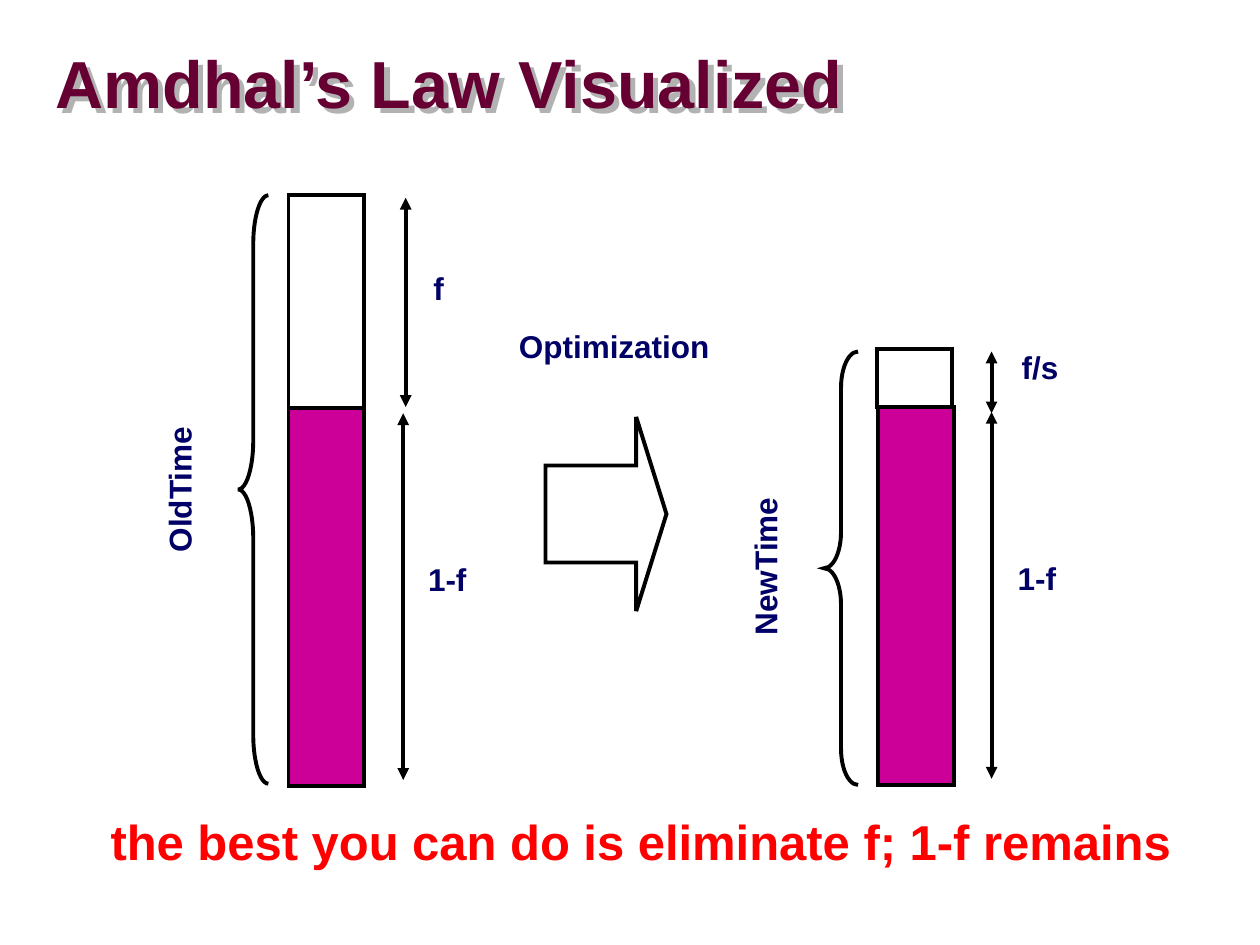
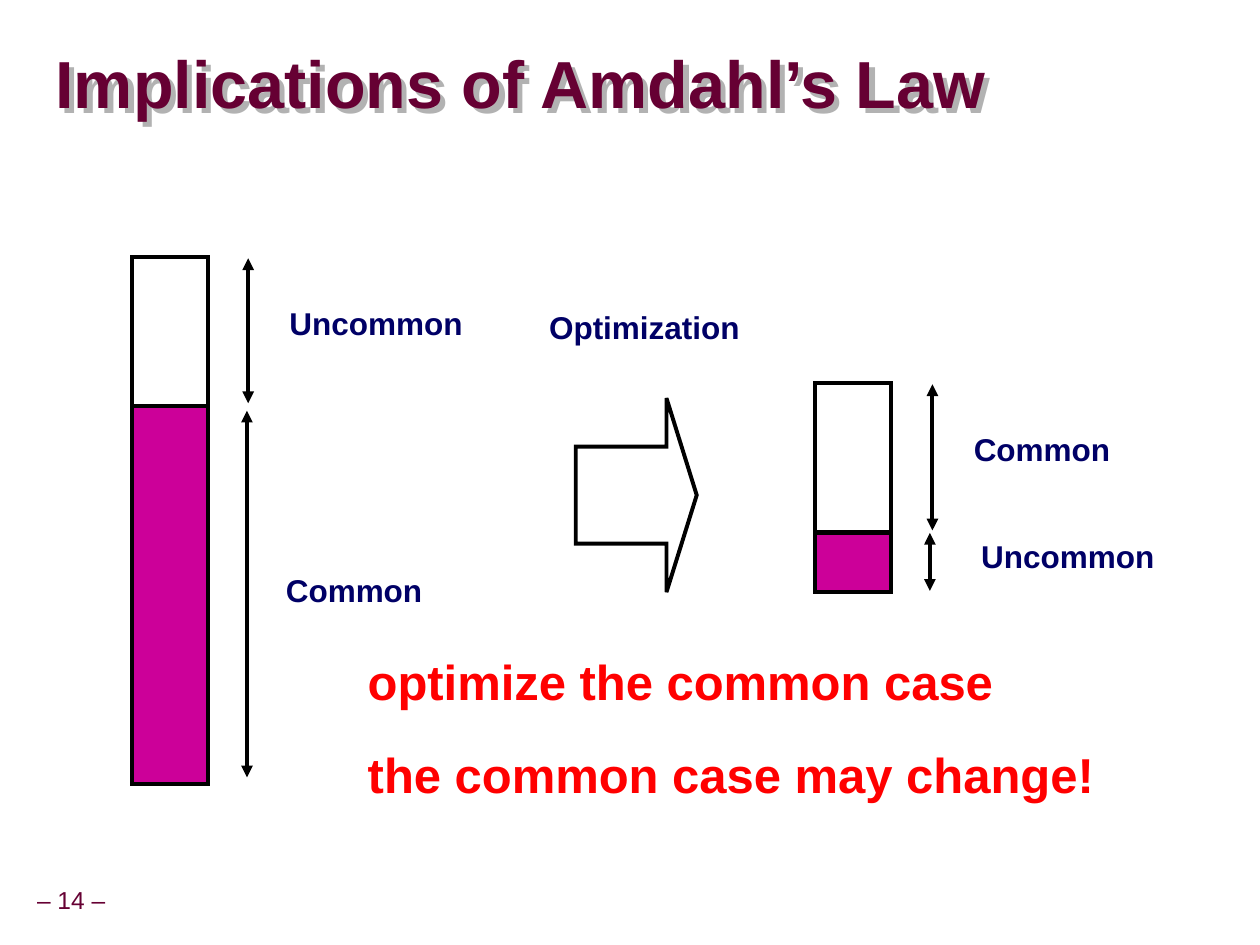
from dataclasses import dataclass

from lxml.etree import SubElement
from pptx import Presentation
from pptx.dml.color import RGBColor
from pptx.enum.shapes import MSO_CONNECTOR, MSO_SHAPE
from pptx.enum.text import MSO_ANCHOR, MSO_AUTO_SIZE, PP_ALIGN
from pptx.oxml.ns import qn
from pptx.util import Inches, Pt

FONT = "Arial"
MAROON, NAVY, RED = "660033", "000066", "FF0000"
BLACK, MAGENTA, SHADOW = "000000", "CC0099", "B2B2B2"
LINE_WIDTH = Pt(2.25)
BAR_WIDTH = 0.6


@dataclass(frozen=True)
class TextStyle:
    size: float
    color: str
    height: float
    bold: bool = True
    align: PP_ALIGN = PP_ALIGN.CENTER
    anchor: MSO_ANCHOR = MSO_ANCHOR.MIDDLE
    spacing: float = 0.9
    inset_x: float = 0.05
    inset_y: float = 0.05
    wrap: bool = False


TITLE = TextStyle(38, MAROON, 0.85, align=PP_ALIGN.LEFT, spacing=0.87,
                  inset_x=0, inset_y=0, wrap=True)
LABEL = TextStyle(18, NAVY, 0.37, anchor=MSO_ANCHOR.TOP)
MESSAGE = TextStyle(28, RED, 0.52)
FOOTER = TextStyle(14, MAROON, 0.31, bold=False)


@dataclass(frozen=True)
class Label:
    text: str
    left: float
    top: float
    width: float
    style: TextStyle = LABEL
    rotation: float = 0


@dataclass(frozen=True)
class Segment:
    """One part of a time bar with its measuring arrow and label."""
    left: float
    top: float
    height: float
    fill: str | None
    arrow_x: float
    arrow_start: float
    arrow_end: float
    label: Label


@dataclass(frozen=True)
class Brace:
    left: float
    top: float
    width: float
    height: float
    label: Label


@dataclass(frozen=True)
class Page:
    title: str
    segments: tuple[Segment, ...]
    optimization_left: float
    optimization_top: float
    messages: tuple[Label, ...]
    braces: tuple[Brace, ...] = ()
    footer: str = ""


PAGES = (
    Page(
        "Amdhal’s Law Visualized",
        (
            Segment(2.29, 1.55, 1.69, None, 3.22, 1.57, 3.23, Label("f", 3.34, 2.12, 0.28)),
            Segment(2.29, 3.24, 3, MAGENTA, 3.2, 3.28, 6.19, Label("1-f", 3.3, 4.43, 0.5)),
            Segment(6.96, 2.77, 0.46, None, 7.87, 2.79, 3.28, Label("f/s", 8.01, 2.75, 0.49)),
            Segment(6.97, 3.23, 3, MAGENTA, 7.87, 3.27, 6.18, Label("1-f", 7.98, 4.42, 0.5)),
        ),
        4.02, 2.58,
        (Label("the best you can do is eliminate f; 1-f remains", 0.78, 6.44, 8.61, MESSAGE),),
        braces=(
            Brace(1.89, 1.55, 0.24, 4.67, Label("OldTime", 0.84, 3.7, 1.2, rotation=270)),
            Brace(6.54, 2.79, 0.27, 3.44, Label("NewTime", 5.44, 4.31, 1.3, rotation=270)),
        ),
    ),
    Page(
        "Implications of Amdahl’s Law",
        (
            Segment(1.05, 2.04, 1.18, None, 1.97, 2.05, 3.2, Label("Uncommon", 2.2, 2.4, 1.57)),
            Segment(1.05, 3.22, 3, MAGENTA, 1.96, 3.26, 6.17, Label("Common", 2.17, 4.52, 1.28)),
            Segment(6.47, 3.04, 1.18, None, 7.4, 3.05, 4.21, Label("Common", 7.63, 3.4, 1.28)),
            Segment(6.47, 4.23, 0.47, MAGENTA, 7.38, 4.23, 4.69,
                    Label("Uncommon", 7.69, 4.25, 1.57)),
        ),
        4.26, 2.43,
        (
            Label("optimize the common case", 2.82, 5.17, 5.16, MESSAGE),
            Label("the common case may change!", 2.82, 5.91, 5.96, MESSAGE),
        ),
        footer="– 14 –",
    ),
)


def rgb(color: str) -> RGBColor:
    return RGBColor.from_string(color)


def apply(target, values: dict) -> None:
    for name, value in values.items():
        setattr(target, name, value)


def add_label(slide, label: Label):
    style = label.style
    box = slide.shapes.add_textbox(Inches(label.left), Inches(label.top),
                                   Inches(label.width), Inches(style.height))
    box.rotation = label.rotation
    frame = box.text_frame
    apply(frame, {
        "word_wrap": style.wrap,
        "auto_size": MSO_AUTO_SIZE.NONE if style.wrap else MSO_AUTO_SIZE.SHAPE_TO_FIT_TEXT,
        "vertical_anchor": style.anchor,
        "margin_left": Inches(style.inset_x), "margin_right": Inches(style.inset_x),
        "margin_top": Inches(style.inset_y), "margin_bottom": Inches(style.inset_y),
    })
    para = frame.paragraphs[0]
    apply(para, {"alignment": style.align, "line_spacing": style.spacing})
    span = para.add_run()
    span.text = label.text
    apply(span.font, {"name": FONT, "size": Pt(style.size), "bold": style.bold})
    span.font.color.rgb = rgb(style.color)
    return box


def add_title(slide, text: str) -> None:
    box = add_label(slide, Label(text, 0.44, 0.27, 9.53, TITLE))
    # The unfilled box casts the shadow of its letters
    effects = SubElement(box._element.spPr, qn("a:effectLst"))
    shadow = SubElement(effects, qn("a:outerShdw"), dist=str(Inches(0.06)),
                        dir="2700000", algn="ctr", rotWithShape="0")
    SubElement(shadow, qn("a:srgbClr"), val=SHADOW)


def add_outline(slide, kind: MSO_SHAPE, left: float, top: float,
                width: float, height: float, fill: str | None = None):
    shape = slide.shapes.add_shape(kind, Inches(left), Inches(top),
                                   Inches(width), Inches(height))
    shape.shadow.inherit = False
    if fill:
        shape.fill.solid()
        shape.fill.fore_color.rgb = rgb(fill)
    else:
        shape.fill.background()
    shape.line.color.rgb = rgb(BLACK)
    shape.line.width = LINE_WIDTH
    # Sharp corners
    SubElement(shape.line._get_or_add_ln(), qn("a:miter"), lim="800000")
    return shape


def add_measure(slide, x: float, start: float, end: float) -> None:
    arrow = slide.shapes.add_connector(MSO_CONNECTOR.STRAIGHT, Inches(x), Inches(start),
                                       Inches(x), Inches(end))
    arrow.line.color.rgb = rgb(BLACK)
    arrow.line.width = LINE_WIDTH
    for end_tag in ("a:headEnd", "a:tailEnd"):
        SubElement(arrow.line._get_or_add_ln(), qn(end_tag), type="triangle")
    SubElement(arrow._element.spPr, qn("a:effectLst"))


def add_segment(slide, segment: Segment) -> None:
    add_outline(slide, MSO_SHAPE.RECTANGLE, segment.left, segment.top,
                BAR_WIDTH, segment.height, segment.fill)
    add_measure(slide, segment.arrow_x, segment.arrow_start, segment.arrow_end)
    add_label(slide, segment.label)


def add_brace(slide, brace: Brace) -> None:
    shape = add_outline(slide, MSO_SHAPE.LEFT_BRACE, brace.left, brace.top,
                        brace.width, brace.height)
    # Each curve takes a twelfth of the height
    shape.adjustments[0] = brace.height / 12 / brace.width
    add_label(slide, brace.label)


def add_optimization(slide, left: float, top: float) -> None:
    arrow = add_outline(slide, MSO_SHAPE.RIGHT_ARROW, left + 0.31, top + 0.73, 0.96, 1.54)
    arrow.adjustments[0] = 0.5
    arrow.adjustments[1] = 0.25
    add_label(slide, Label("Optimization", left, top, 1.71))


def add_page(deck, page: Page) -> None:
    slide = deck.slides.add_slide(deck.slide_layouts[6])
    add_title(slide, page.title)
    for segment in page.segments:
        add_segment(slide, segment)
    for brace in page.braces:
        add_brace(slide, brace)
    add_optimization(slide, page.optimization_left, page.optimization_top)
    for message in page.messages:
        add_label(slide, message)
    if page.footer:
        add_label(slide, Label(page.footer, -0.09, 7, 1.31, FOOTER))


def main() -> None:
    deck = Presentation()
    deck.slide_width, deck.slide_height = Inches(10), Inches(7.5)
    for page in PAGES:
        add_page(deck, page)
    deck.save("out.pptx")


if __name__ == "__main__":
    main()
